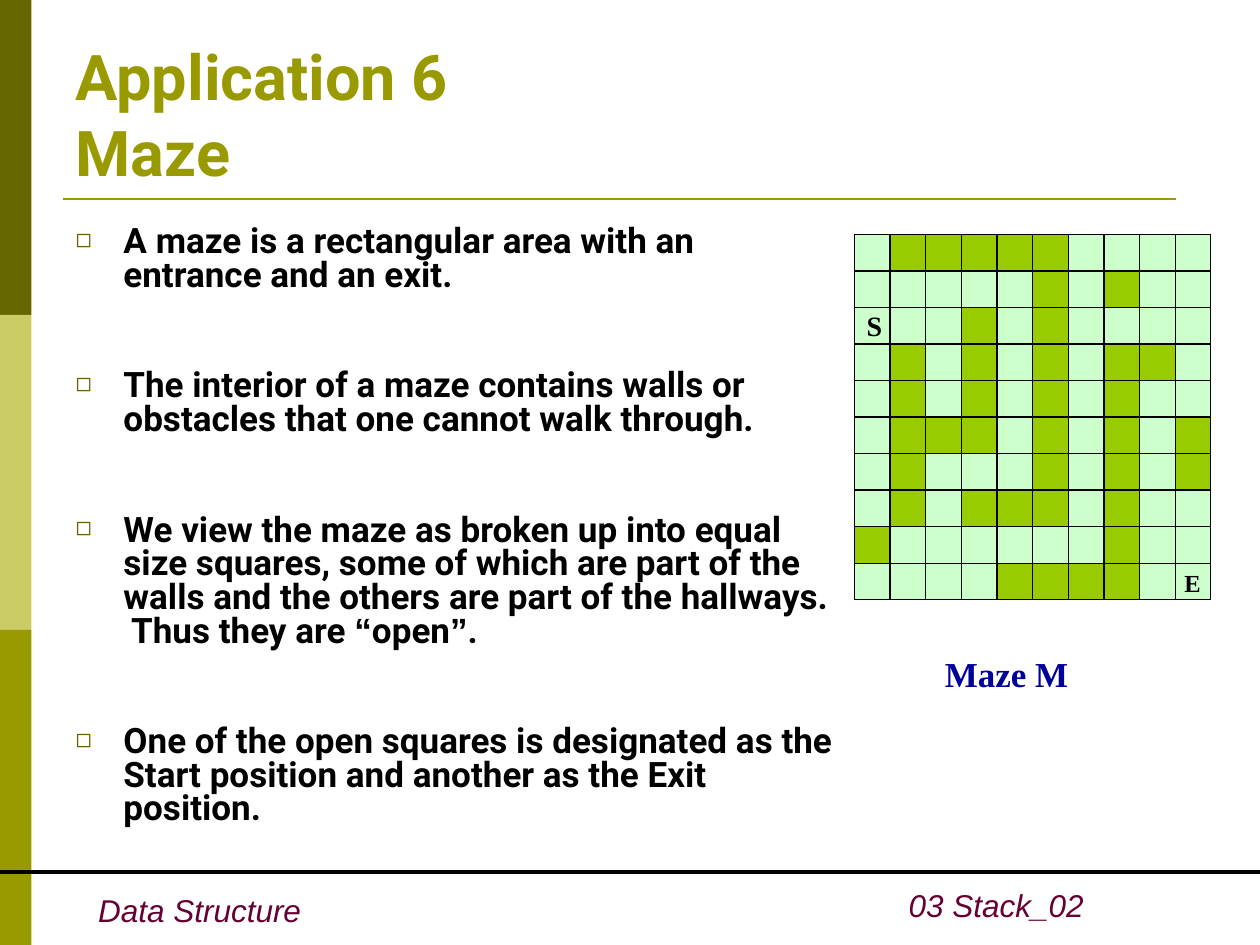
from dataclasses import dataclass
from lxml import etree
from pptx import Presentation
from pptx.dml.color import RGBColor
from pptx.enum import shapes, text
from pptx.oxml import ns
from pptx.slide import Slide
from pptx.util import Inches, Pt

MAZE = """
.#####....
.....#.#..
...#.#....
.#.#.#.##.
.#.#.#.#..
.###.#.#.#
.#...#.#.#
.#.###.#..
#......#..
....####..
""".split()
START = (2, 0)
MAZE_LEFT, MAZE_TOP = 6.78, 1.86
CELL_WIDTH, CELL_HEIGHT = 2.83 / len(MAZE[0]), 2.9 / len(MAZE)

BULLETS = [
    ["A maze is a rectangular area with an entrance and an exit."],
    ["The interior of a maze contains walls or obstacles that one cannot walk through."],
    ["We view the maze as broken up into equal size squares, some of which are part of "
     "the walls and the others are part of the hallways.  Thus they are ", "“", "open", "”", "."],
    ["One of the open squares is designated as the Start position and another as the "
     "Exit position."],
]


def color(value):
    return RGBColor.from_string(value)


@dataclass
class MazeSlide:
    """Holds the slide's style and draws its elements."""
    slide: Slide
    heading_font: str = "Roboto"
    footer_font: str = "Arial"
    maze_font: str = "Times New Roman"
    dark: str = "666600"
    olive: str = "999900"
    pale: str = "CCCC66"
    black: str = "000000"
    wall: str = "99CC00"
    hallway: str = "CCFFCC"

    def format_run(self, run, font, size, fill, bold=True, italic=False):
        run.font.name = font
        run.font.size = Pt(size)
        run.font.color.rgb = color(fill)
        run.font.bold = bold
        run.font.italic = italic

    def place(self, shape, left, top, width, height):
        shape.left, shape.top = Inches(left), Inches(top)
        shape.width, shape.height = Inches(width), Inches(height)

    def rectangle(self, parent, left, top, width, height, fill, outline=None):
        shape = parent.add_shape(shapes.MSO_SHAPE.RECTANGLE, Inches(left), Inches(top),
                                 Inches(width), Inches(height))
        shape.shadow.inherit = False
        shape.fill.solid()
        shape.fill.fore_color.rgb = color(fill)
        if outline:
            shape.line.color.rgb = color(outline)
            shape.line.width = Pt(0.75)
        else:
            shape.line.fill.background()
        return shape

    def rule(self, left, right, top, fill, width):
        line = self.slide.shapes.add_connector(shapes.MSO_CONNECTOR.STRAIGHT, Inches(left),
                                               Inches(top), Inches(right), Inches(top))
        line.line.color.rgb = color(fill)
        line.line.width = Pt(width)
        etree.SubElement(line._element.spPr, ns.qn("a:effectLst"))

    def caption(self, shape, words, font, size, fill, align=text.PP_ALIGN.LEFT, wrap=False,
                **style):
        frame = shape.text_frame
        frame.text = words
        frame.word_wrap = wrap
        paragraph = frame.paragraphs[0]
        paragraph.alignment = align
        self.format_run(paragraph.runs[0], font, size, fill, **style)

    def label(self, parent, box, *words_and_style, **style):
        shape = parent.add_textbox(*map(Inches, box))
        self.caption(shape, *words_and_style, **style)

    def title(self, words):
        shape = self.slide.shapes.title
        self.place(shape, 0.5, 0.3, 9, 1.25)
        frame = shape.text_frame
        frame.text = words
        frame.auto_size = text.MSO_AUTO_SIZE.NONE
        frame.vertical_anchor = text.MSO_ANCHOR.BOTTOM
        paragraph = frame.paragraphs[0]
        paragraph.alignment = text.PP_ALIGN.LEFT
        for run in paragraph.runs:
            self.format_run(run, self.heading_font, 36, self.olive)

    def bullet(self, paragraph):
        properties = paragraph._p.get_or_add_pPr()
        properties.set("marL", str(Inches(0.38)))
        properties.set("indent", str(-Inches(0.38)))
        bullet_color = etree.SubElement(properties, ns.qn("a:buClr"))
        etree.SubElement(bullet_color, ns.qn("a:srgbClr"), val=self.dark)
        etree.SubElement(properties, ns.qn("a:buSzPct"), val="75000")
        etree.SubElement(properties, ns.qn("a:buChar"), char="◻")

    def body(self, items):
        shape = self.slide.placeholders[1]
        self.place(shape, 0.5, 1.75, 6.23, 4.95)
        frame = shape.text_frame
        frame.auto_size = text.MSO_AUTO_SIZE.NONE
        for index, parts in enumerate(items):
            paragraph = frame.add_paragraph() if index else frame.paragraphs[0]
            self.bullet(paragraph)
            paragraph.line_spacing = 0.8
            paragraph.space_before = Pt(44 if index else 0)
            for part in parts:
                run = paragraph.add_run()
                run.text = part
                font = self.footer_font if part in "“”" else self.heading_font
                self.format_run(run, font, 20, self.black)

    def maze(self):
        group = self.slide.shapes.add_group_shape().shapes
        for row, cells in enumerate(MAZE):
            for column, cell in enumerate(cells):
                square = self.rectangle(
                    group, MAZE_LEFT + column * CELL_WIDTH, MAZE_TOP + row * CELL_HEIGHT,
                    CELL_WIDTH, CELL_HEIGHT, self.wall if cell == "#" else self.hallway, self.black)
                if (row, column) == START:
                    self.caption(square, "S", self.maze_font, 16, self.black)
        self.label(group, (9.3, 4.46, 0.33, 0.34), "E", self.maze_font, 14, self.black,
                   text.PP_ALIGN.CENTER)
        self.label(group, (7.4, 5.13, 1.18, 0.44), "Maze M", self.maze_font, 20, "000099")

    def frame(self):
        for index, fill in enumerate((self.dark, self.pale, self.olive)):
            self.rectangle(self.slide.shapes, 0, index * 2.5, 0.25, 2.5, fill)
        self.rule(0.5, 9.33, 1.58, self.olive, 1.5)
        self.rule(0, 10, 6.92, self.black, 2.25)
        footer = (self.footer_font, 18, "660033")
        style = {"bold": False, "italic": True}
        self.label(self.slide.shapes, (0.68, 7.02, 1.81, 0.4), "Data Structure", *footer, **style)
        self.label(self.slide.shapes, (6.97, 6.98, 1.73, 0.4), "03 Stack_02", *footer,
                   align=text.PP_ALIGN.RIGHT, wrap=True, **style)


def main():
    presentation = Presentation()
    presentation.slide_width, presentation.slide_height = Inches(10), Inches(7.5)
    page = MazeSlide(presentation.slides.add_slide(presentation.slide_layouts[1]))
    page.frame()
    page.title("Application 6\vMaze")
    page.body(BULLETS)
    page.maze()
    presentation.save("out.pptx")


if __name__ == "__main__":
    main()
